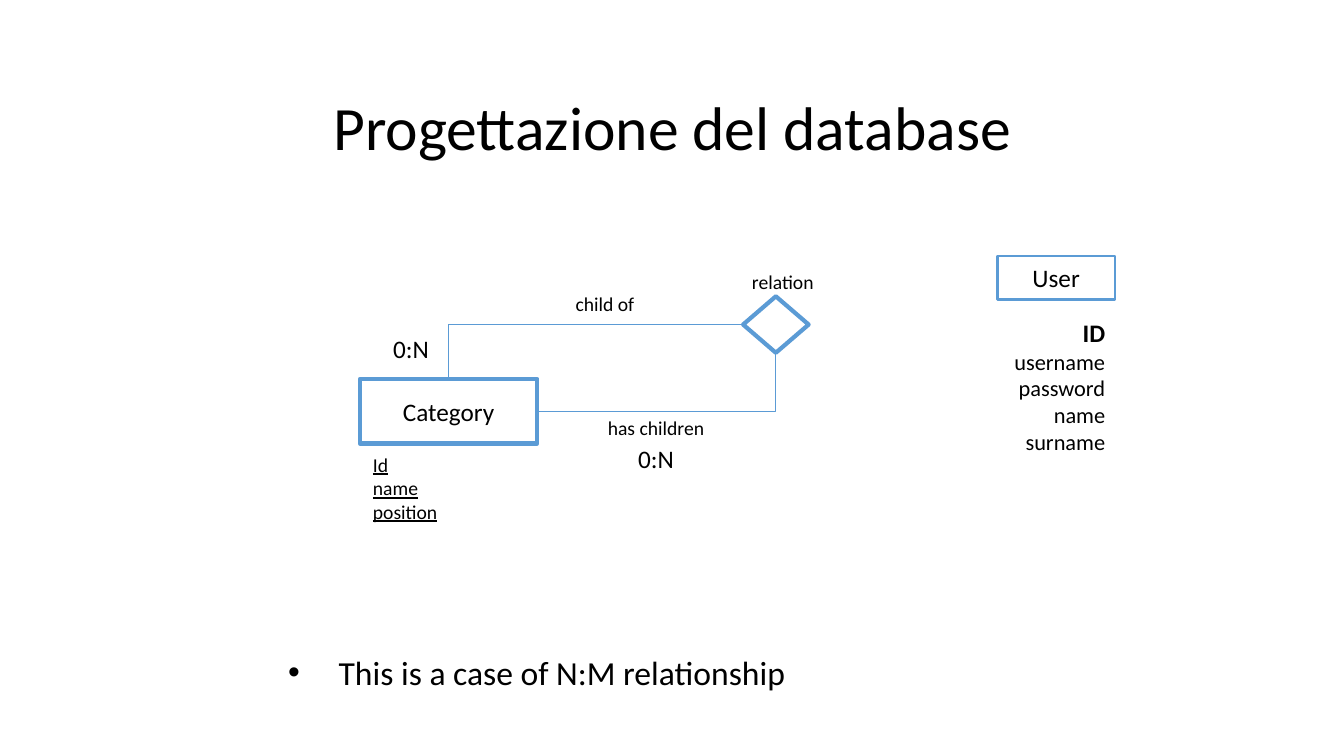
from pptx import Presentation
from pptx import util as u
from pptx.dml import color
from pptx.enum import shapes, text
from pptx.oxml import ns
from lxml import etree

COLORS = {"text": "000000", "fill": "FFFFFF", "line": "5B9BD5"}
TOP, LEFT, BOTTOM, RIGHT = range(4)  # connection sites
ALIGN = text.PP_ALIGN


def rgb(name):
    """Look up a named colour."""
    return color.RGBColor.from_string(COLORS[name])


class Builder:
    """Holds the style and the current slide."""

    font = "Calibri"

    def __init__(self, prs):
        """Add a title-only slide."""
        self.s = prs.slides.add_slide(prs.slide_layouts[5])

    def fill_text(self, tf, lines, align=ALIGN.LEFT, **fmt):
        """Fill a frame with (text, format) lines that share a base format."""
        for i, (line, extra) in enumerate(lines):
            p = tf.paragraphs[0] if i == 0 else tf.add_paragraph()
            p.alignment = align
            r = p.add_run()
            r.text = line
            r.font.color.rgb = rgb("text")
            for key, value in {"name": self.font, **fmt, **extra}.items():
                setattr(r.font, key, value)

    def title(self, box, line):
        """Place and format the title placeholder."""
        sp = self.s.shapes.title
        for key, value in zip(("left", "top", "width", "height"), box):
            setattr(sp, key, u.Inches(value))
        tf = sp.text_frame
        tf.vertical_anchor = text.MSO_ANCHOR.MIDDLE
        self.fill_text(tf, [(line, {})], ALIGN.CENTER, size=u.Pt(44))
        tf.paragraphs[0].line_spacing = 0.9

    def node(self, kind, box, width, label=""):
        """Draw an outlined entity or relation, with an optional label."""
        sp = self.s.shapes.add_shape(kind, *map(u.Inches, box))
        sp.shadow.inherit = False
        sp.fill.solid()
        sp.fill.fore_color.rgb = rgb("fill")
        sp.line.color.rgb = rgb("line")
        sp.line.width = u.Pt(width)
        sp.text_frame.vertical_anchor = text.MSO_ANCHOR.MIDDLE
        if label:
            self.fill_text(sp.text_frame, [(label, {})], ALIGN.CENTER, size=u.Pt(18))
        return sp

    def link(self, start, start_site, end, end_site):
        """Join two nodes with a one-bend connector."""
        c = self.s.shapes.add_connector(shapes.MSO_CONNECTOR.ELBOW, 0, 0, 0, 0)
        c.begin_connect(start, start_site)
        c.end_connect(end, end_site)
        c.line.color.rgb = rgb("line")
        c.line.width = u.Pt(0.5)
        sp_pr = c._element.spPr
        sp_pr.find(ns.qn("a:prstGeom")).set("prst", "bentConnector2")
        etree.SubElement(sp_pr, ns.qn("a:effectLst"))

    def label(self, box, lines, size, wrap=False, align=ALIGN.LEFT, **fmt):
        """Add a text box."""
        tf = self.s.shapes.add_textbox(*map(u.Inches, box)).text_frame
        tf.word_wrap = wrap
        self.fill_text(tf, lines, align, size=u.Pt(size), **fmt)
        return tf

    def bullet(self, box, line, size):
        """Add a bulleted line with a hanging indent."""
        tf = self.label(box, [(line, {})], size)
        p_pr = tf.paragraphs[0]._p.get_or_add_pPr()
        indent = u.Inches(0.5)
        p_pr.set("marL", str(indent))
        p_pr.set("indent", str(-indent))
        etree.SubElement(p_pr, ns.qn("a:buFont")).set("typeface", "Arial")
        etree.SubElement(p_pr, ns.qn("a:buChar")).set("char", "•")


prs = Presentation()
prs.slide_width, prs.slide_height = u.Inches(13.33), u.Inches(7.5)
b = Builder(prs)
b.title((0.92, 0.57, 11.5, 1.45), "Progettazione del database")

RECT, DIAMOND = shapes.MSO_SHAPE.RECTANGLE, shapes.MSO_SHAPE.DIAMOND
category = b.node(RECT, (3.57, 3.76, 1.76, 0.64), 3, "Category")
relation = b.node(DIAMOND, (7.37, 2.94, 0.65, 0.56), 3)
b.node(RECT, (9.89, 2.54, 1.17, 0.43), 2, "User")
b.link(category, RIGHT, relation, BOTTOM)
b.link(relation, LEFT, category, TOP)

for box, line, size in [
    ((6.23, 4.35, 0.56, 0.4), "0:N", 18),
    ((5.93, 4.08, 1.17, 0.34), "has children", 14),
    ((5.61, 2.85, 0.79, 0.34), "child of", 14),
    ((3.8, 3.26, 0.56, 0.4), "0:N", 18),
    ((7.36, 2.63, 0.82, 0.34), "relation", 14),
]:
    b.label(box, [(line, {})], size)

category_fields = [(f, {}) for f in ("Id", "name", "position")]
b.label((3.6, 4.44, 0.85, 0.81), category_fields, 14, underline=True)

user_fields = [("ID", {"size": u.Pt(18), "bold": True})]
user_fields += [(f, {}) for f in ("username", "password", "name", "surname")]
b.label((9.59, 3.1, 1.47, 1.42), user_fields, 16, wrap=True, align=ALIGN.RIGHT)

b.bullet((2.76, 6.42, 5.18, 0.5), "This is a case of N:M relationship", 24)
prs.save("out.pptx")
